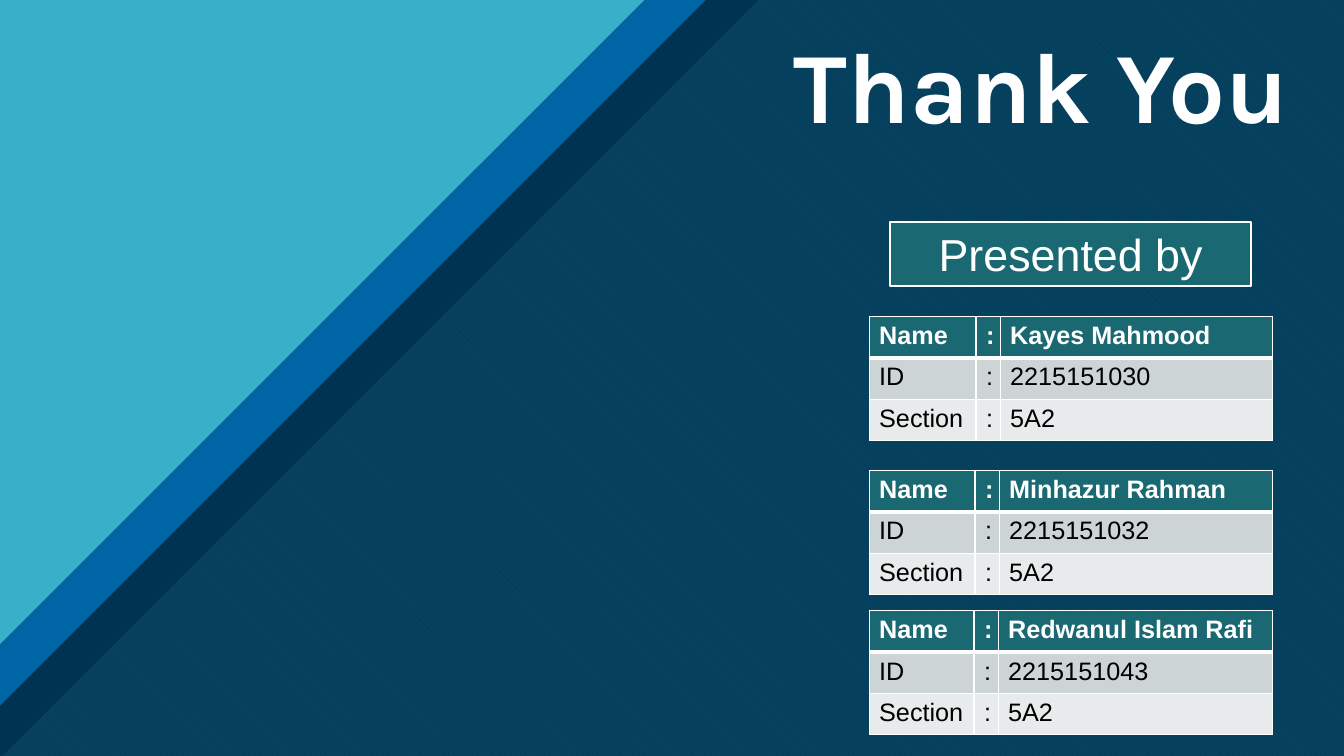
from dataclasses import dataclass

from lxml import etree
from pptx import Presentation
from pptx.dml.color import RGBColor
from pptx.enum.dml import MSO_PATTERN
from pptx.enum.shapes import MSO_SHAPE
from pptx.enum.text import MSO_ANCHOR, PP_ALIGN
from pptx.oxml.ns import qn
from pptx.util import Inches, Pt

RECTANGLE = MSO_SHAPE.RECTANGLE
TRIANGLE = MSO_SHAPE.RIGHT_TRIANGLE
DIAGONAL = MSO_PATTERN.WIDE_DOWNWARD_DIAGONAL
MIDDLE = MSO_ANCHOR.MIDDLE
CENTER = PP_ALIGN.CENTER


@dataclass(frozen=True)
class Theme:
    navy: str = "003352"
    blue: str = "0065A4"
    aqua: str = "47C3D3"
    teal: str = "1A6871"
    band_dark: str = "CDD4D5"
    band_light: str = "E8EBEB"
    white: str = "FFFFFF"
    black: str = "000000"
    title_font: str = "Karla"
    body_font: str = "Arial"
    title_size: int = 72
    label_size: int = 32
    table_size: int = 18


THEME = Theme()
SLIDE_WIDTH, SLIDE_HEIGHT = 13.33, 7.5
TITLE = "Thank You"
LABEL = "Presented by"
PRESENTERS = [
    ("Kayes Mahmood", "2215151030", "5A2"),
    ("Minhazur Rahman", "2215151032", "5A2"),
    ("Redwanul Islam Rafi", "2215151043", "5A2"),
]
FIELDS = ("Name", "ID", "Section")
TABLE_TOPS = (3.14, 4.67, 6.06)
TABLE_LEFT, TABLE_WIDTH, ROW_HEIGHT = 8.62, 3.99, 0.41
FIELD_WIDTH, COLON_WIDTH, WIDTH_STEP = 1.06, 0.23, 0.01
ROW_FILLS = (THEME.teal, THEME.band_dark, THEME.band_light)
TRIANGLES = [
    (7.52, THEME.navy, 100),
    (7.0, THEME.blue, 100),
    (6.39, THEME.aqua, 80),
]


def color(value):
    return RGBColor.from_string(value)


def paint(shape, value, opacity=100):
    shape.fill.solid()
    shape.fill.fore_color.rgb = color(value)
    if opacity < 100:
        target = shape.fill._xPr.find(qn("a:solidFill"))[0]
        etree.SubElement(target, qn("a:alpha"), val=str(opacity * 1000))


def add_plain_shape(slide, kind, left, top, width, height):
    shape = slide.shapes.add_shape(
        kind, Inches(left), Inches(top), Inches(width), Inches(height))
    shape.shadow.inherit = False
    shape.line.fill.background()
    return shape


def write(paragraph, text, font, size, value, bold=False):
    run = paragraph.add_run()
    run.text = text
    run.font.name = font
    run.font.size = Pt(size)
    run.font.bold = bold
    run.font.color.rgb = color(value)


def set_borders(cell, top, bottom):
    properties = cell._tc.get_or_add_tcPr()
    widths = (("lnL", 1), ("lnR", 1), ("lnT", top), ("lnB", bottom))
    for index, (side, width) in enumerate(widths):
        line = etree.Element(qn(f"a:{side}"), w=str(Pt(width)))
        fill = etree.SubElement(line, qn("a:solidFill"))
        etree.SubElement(fill, qn("a:srgbClr"), val=THEME.white)
        properties.insert(index, line)


def add_background(slide):
    full = (0, 0, SLIDE_WIDTH, SLIDE_HEIGHT)
    stripes = add_plain_shape(slide, RECTANGLE, *full)
    stripes.fill.patterned()
    stripes.fill.pattern = DIAGONAL
    stripes.fill.fore_color.rgb = color(THEME.blue)
    stripes.fill.back_color.rgb = color(THEME.aqua)
    paint(add_plain_shape(slide, RECTANGLE, *full), THEME.navy, 90)
    for side, value, opacity in TRIANGLES:
        triangle = add_plain_shape(slide, TRIANGLE, 0, 0, side, side)
        triangle.rotation = 90
        paint(triangle, value, opacity)


def add_headings(slide):
    title = slide.shapes.add_textbox(
        Inches(7.62), Inches(0.22), Inches(5.41), Inches(1.36))
    title.text_frame.word_wrap = True
    title.text_frame.vertical_anchor = MIDDLE
    paragraph = title.text_frame.paragraphs[0]
    paragraph.alignment = CENTER
    paragraph.line_spacing = 0.9
    write(paragraph, TITLE, THEME.title_font, THEME.title_size, THEME.white, True)

    label = add_plain_shape(slide, RECTANGLE, 8.83, 2.2, 3.58, 0.64)
    paint(label, THEME.teal)
    label.line.color.rgb = color(THEME.white)
    label.line.width = Pt(1.5)
    label.text_frame.vertical_anchor = MIDDLE
    paragraph = label.text_frame.paragraphs[0]
    paragraph.alignment = CENTER
    write(paragraph, LABEL, THEME.body_font, THEME.label_size, THEME.white)


def add_presenter(slide, index, top, values):
    table = slide.shapes.add_table(
        len(FIELDS), 3, Inches(TABLE_LEFT), Inches(top),
        Inches(TABLE_WIDTH), Inches(ROW_HEIGHT * len(FIELDS))).table
    field_width = FIELD_WIDTH - index * WIDTH_STEP
    widths = (field_width, COLON_WIDTH, TABLE_WIDTH - field_width - COLON_WIDTH)
    for column, width in zip(table.columns, widths):
        column.width = Inches(width)
    for row_index, (field, value) in enumerate(zip(FIELDS, values)):
        table.rows[row_index].height = Inches(ROW_HEIGHT)
        header = row_index == 0
        for column_index, text in enumerate((field, ":", value)):
            cell = table.cell(row_index, column_index)
            paint(cell, ROW_FILLS[row_index])
            set_borders(cell, 3 if row_index == 1 else 1, 3 if header else 1)
            write(cell.text_frame.paragraphs[0], text, THEME.body_font,
                  THEME.table_size, THEME.white if header else THEME.black, header)


def main():
    presentation = Presentation()
    presentation.slide_width = Inches(SLIDE_WIDTH)
    presentation.slide_height = Inches(SLIDE_HEIGHT)
    slide = presentation.slides.add_slide(presentation.slide_layouts[6])
    add_background(slide)
    add_headings(slide)
    for index, (top, values) in enumerate(zip(TABLE_TOPS, PRESENTERS)):
        add_presenter(slide, index, top, values)
    presentation.save("out.pptx")


if __name__ == "__main__":
    main()
